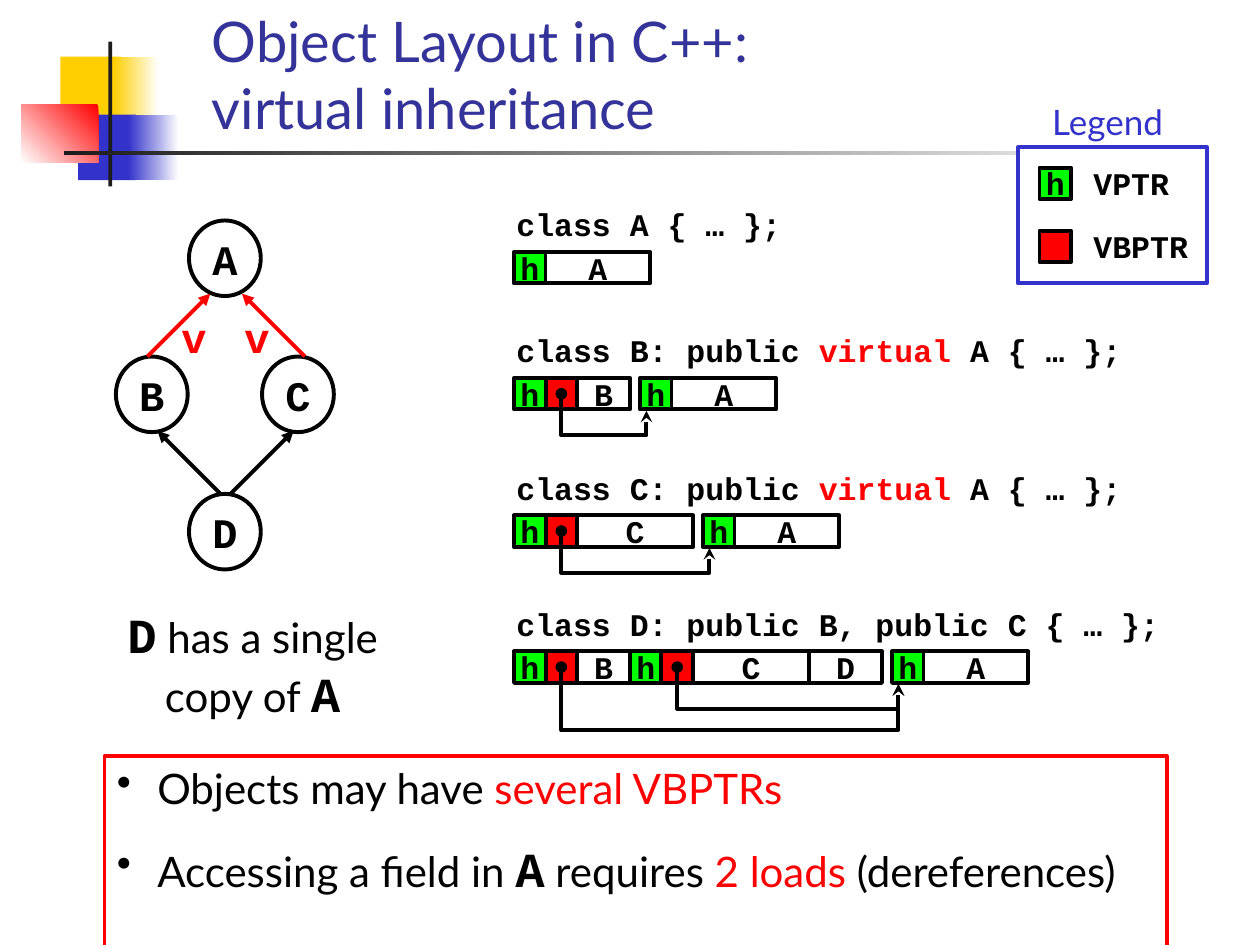
from lxml.etree import SubElement
from pptx import Presentation
from pptx.dml.color import RGBColor
from pptx.enum.shapes import MSO_CONNECTOR, MSO_SHAPE
from pptx.enum.text import MSO_ANCHOR, MSO_AUTO_SIZE, PP_ALIGN
from pptx.oxml.ns import qn
from pptx.util import Inches, Pt

BLACK = RGBColor(0x00, 0x00, 0x00)
WHITE = RGBColor(0xFF, 0xFF, 0xFF)
RED = RGBColor(0xFF, 0x00, 0x00)
GREEN = RGBColor(0x00, 0xFF, 0x00)
BLUE = RGBColor(0x33, 0x33, 0xCC)
NAVY = RGBColor(0x33, 0x33, 0x99)
YELLOW = RGBColor(0xFF, 0xCF, 0x01)
CHARCOAL = RGBColor(0x1C, 0x1C, 0x1C)
CODE, BODY = "Courier New", "Lato"

# Content: a span is (text, size, font, colour)
TITLE = "Object Layout in C++:\vvirtual inheritance"


def code(text, colour=BLACK, size=18):
    return text, size, CODE, colour


def body(text, colour=BLACK, size=24):
    return text, size, BODY, colour


# Decoration: left, top, width, height, start colour, end colour, angle
DECORATION = [
    (0.48, 0.45, 0.48, 0.52, YELLOW, None, 0),
    (0.9, 0.45, 0.36, 0.52, YELLOW, WHITE, 0),
    (0.62, 0.91, 0.46, 0.52, BLUE, None, 0),
    (1.02, 0.91, 0.4, 0.52, BLUE, WHITE, 0),
    (0.17, 0.83, 0.61, 0.46, RED, WHITE, 225),
    (0.86, 0.33, 0.03, 1.15, CHARCOAL, None, 0),
    (0.51, 1.2, 9, 0.03, CHARCOAL, WHITE, 0),
]

# Inheritance diamond
NODES = [("A", 1.5, 1.75), ("B", 0.92, 2.83), ("C", 2.08, 2.83), ("D", 1.5, 3.92)]
EDGES = [
    (1.17, 2.83, 1.67, 2.33, RED),
    (2.42, 2.83, 1.92, 2.33, RED),
    (1.75, 3.92, 1.25, 3.42, BLACK),
    (1.83, 3.92, 2.33, 3.42, BLACK),
]
VIRTUAL_MARKS = [1.33, 1.83]

# Memory layouts: top, declaration, cells ("*" is a VBPTR, " " a gap), pointer depths
LAYOUTS = [
    (1.58, [code("class A { … };")], "hA", []),
    (2.58, [code("class B: public "), code("virtual", RED), code(" A { … };")],
     "h*B hA", [0.33]),
    (3.67, [code("class C: public "), code("virtual", RED), code(" A { … };")],
     "h*C hA", [0.33]),
    (4.75, [code("class D: public B, public C { … };")],
     "h*Bh*CD hA", [0.5, 0.33]),
]
CELL_WIDTHS = {"h": 0.25, "*": 0.25, "A": 0.83, "B": 0.42, "C": 0.92, "D": 0.58, " ": 0.08}
CELL_FILLS = {"h": GREEN, "*": RED}
CELL = 0.25
CELLS_LEFT = 4.08

LEGEND = [("h", "VPTR", 1.25), ("*", "VBPTR", 1.75)]
SINGLE_COPY = [code("D", size=28), body(" has a single copy of "), code("A", size=28)]
BULLETS = [
    [body("Objects may have "), body("several VBPTRs", RED)],
    [body("Accessing a field in "), code("A", size=28), body(" requires "),
     body("2 loads ", RED), body("(dereferences)")],
]

deck = Presentation()
deck.slide_width, deck.slide_height = Inches(10), Inches(7.5)
page = deck.slides.add_slide(deck.slide_layouts[5])


def add_spans(para, spans, align=PP_ALIGN.LEFT):
    para.alignment = align
    for text, size, font, colour in spans:
        span = para.add_run()
        span.text = text
        span.font.size, span.font.name = Pt(size), font
        span.font.color.rgb = colour
        span.font.bold = font == CODE


def add_text(left, top, width, height, spans, align=PP_ALIGN.LEFT):
    box = page.shapes.add_textbox(*map(Inches, (left, top, width, height)))
    box.text_frame.word_wrap = True
    add_spans(box.text_frame.paragraphs[0], spans, align)


def set_line(line, colour):
    line.color.rgb = colour
    line.width = Pt(2.25)


def add_box(kind, left, top, width, height, fill=None, line=None):
    box = page.shapes.add_shape(kind, *map(Inches, (left, top, width, height)))
    box.shadow.inherit = False
    if fill is None:
        box.fill.background()
    else:
        box.fill.solid()
        box.fill.fore_color.rgb = fill
    if line is None:
        box.line.fill.background()
    else:
        set_line(box.line, line)
    return box


def add_label(box, text, size):
    frame = box.text_frame
    frame.margin_left = frame.margin_right = frame.margin_top = frame.margin_bottom = 0
    frame.word_wrap = False
    frame.vertical_anchor = MSO_ANCHOR.MIDDLE
    add_spans(frame.paragraphs[0], [code(text, size=size)], PP_ALIGN.CENTER)


def add_cell(kind, left, top):
    cell = add_box(MSO_SHAPE.RECTANGLE, left, top, CELL_WIDTHS[kind], CELL,
                   CELL_FILLS.get(kind), BLACK)
    if kind != "*":
        add_label(cell, kind, 18)


def add_line_end(shape, end, kind):
    SubElement(shape.line._get_or_add_ln(), qn("a:" + end), type=kind)


def add_pointer(left, top, depth, target, bottom):
    points = [(left, top + depth), (target, top + depth), (target, bottom)]
    builder = page.shapes.build_freeform(Inches(left), Inches(top))
    builder.add_line_segments([(Inches(x), Inches(y)) for x, y in points], close=False)
    pointer = builder.convert_to_shape()
    pointer.shadow.inherit = False
    pointer.fill.background()
    set_line(pointer.line, BLACK)
    add_line_end(pointer, "headEnd", "oval")
    add_line_end(pointer, "tailEnd", "stealth")


# Decoration and title
for left, top, width, height, start, end, angle in DECORATION:
    block = add_box(MSO_SHAPE.RECTANGLE, left, top, width, height, start)
    if end is not None:
        block.fill.gradient()
        block.fill.gradient_angle = angle
        for stop, colour in zip(block.fill.gradient_stops, (start, end)):
            stop.color.rgb = colour

title = page.shapes.title
title.left, title.top, title.width, title.height = map(Inches, (1.58, 0.25, 8.08, 0.92))
title.text_frame.text = TITLE
title.text_frame.auto_size = MSO_AUTO_SIZE.NONE
title.text_frame.vertical_anchor = MSO_ANCHOR.BOTTOM
heading = title.text_frame.paragraphs[0]
heading.alignment = PP_ALIGN.LEFT
heading.font.size, heading.font.name = Pt(32), BODY
heading.font.color.rgb = NAVY

# Inheritance diamond
for name, left, top in NODES:
    add_label(add_box(MSO_SHAPE.OVAL, left, top, 0.57, 0.6, line=BLACK), name, 24)
for *ends, colour in EDGES:
    edge = page.shapes.add_connector(MSO_CONNECTOR.STRAIGHT, *map(Inches, ends))
    set_line(edge.line, colour)
    add_line_end(edge, "tailEnd", "triangle")
    SubElement(edge._element.spPr, qn("a:effectLst"))
for left in VIRTUAL_MARKS:
    add_text(left, 2.42, 0.42, 0.5, [code("v", RED, 24)], PP_ALIGN.CENTER)
add_text(0.67, 4.75, 2.67, 1.04, SINGLE_COPY, PP_ALIGN.CENTER)

# Memory layouts
for top, declaration, cells, depths in LAYOUTS:
    add_text(4, top, 5.33, 0.4, declaration)
    left, cell_top, sources = CELLS_LEFT, top + 0.42, []
    for kind in cells:
        if kind != " ":
            add_cell(kind, left, cell_top)
        if kind == "*":
            sources.append(left + CELL / 2)
        if kind == "h":
            last_header = left
        left += CELL_WIDTHS[kind]
    for source, depth in zip(sources, depths):
        add_pointer(source, cell_top + CELL / 2, depth, last_header + 0.05, cell_top + 0.26)

# Legend
add_text(8, 0.75, 1.58, 0.44, [body("Legend", BLUE, 20)], PP_ALIGN.CENTER)
add_box(MSO_SHAPE.RECTANGLE, 8.08, 1.17, 1.5, 1.08, WHITE, BLUE)
for kind, meaning, top in LEGEND:
    add_cell(kind, 8.25, top + 0.08)
    add_text(8.58, top, 1, 0.4, [code(meaning)])

# Conclusions
summary = add_box(MSO_SHAPE.RECTANGLE, 0.83, 6, 8.43, 1.58, line=RED)
frame = summary.text_frame
frame.word_wrap = True
frame.vertical_anchor = MSO_ANCHOR.TOP
for index, spans in enumerate(BULLETS):
    para = frame.add_paragraph() if index else frame.paragraphs[0]
    properties = para._p.get_or_add_pPr()
    properties.set("marL", str(Inches(0.32)))
    properties.set("indent", str(-Inches(0.32)))
    SubElement(properties, qn("a:buChar"), char="•")
    if index:
        para.space_before = Pt(15)
    add_spans(para, spans)

deck.save("out.pptx")
